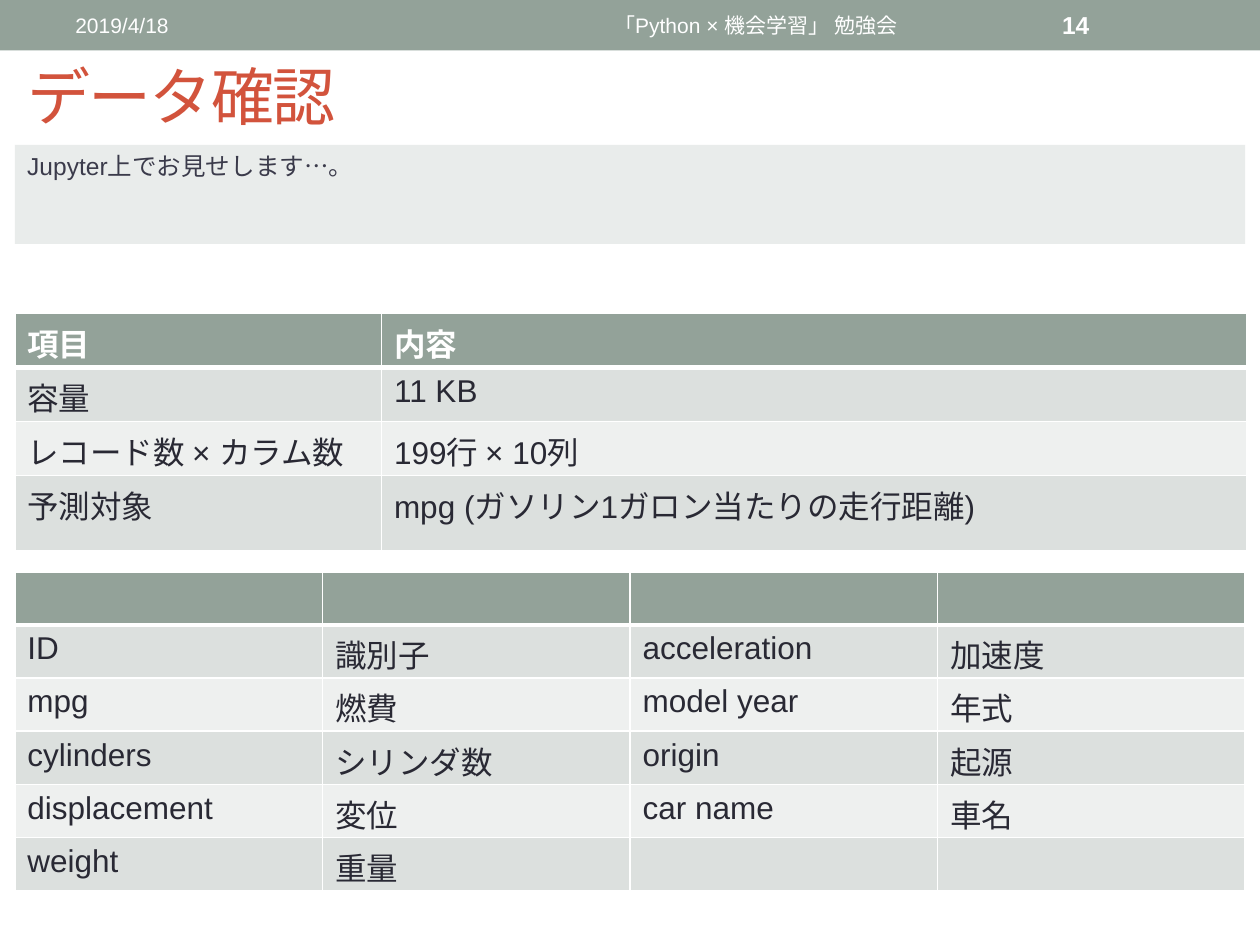
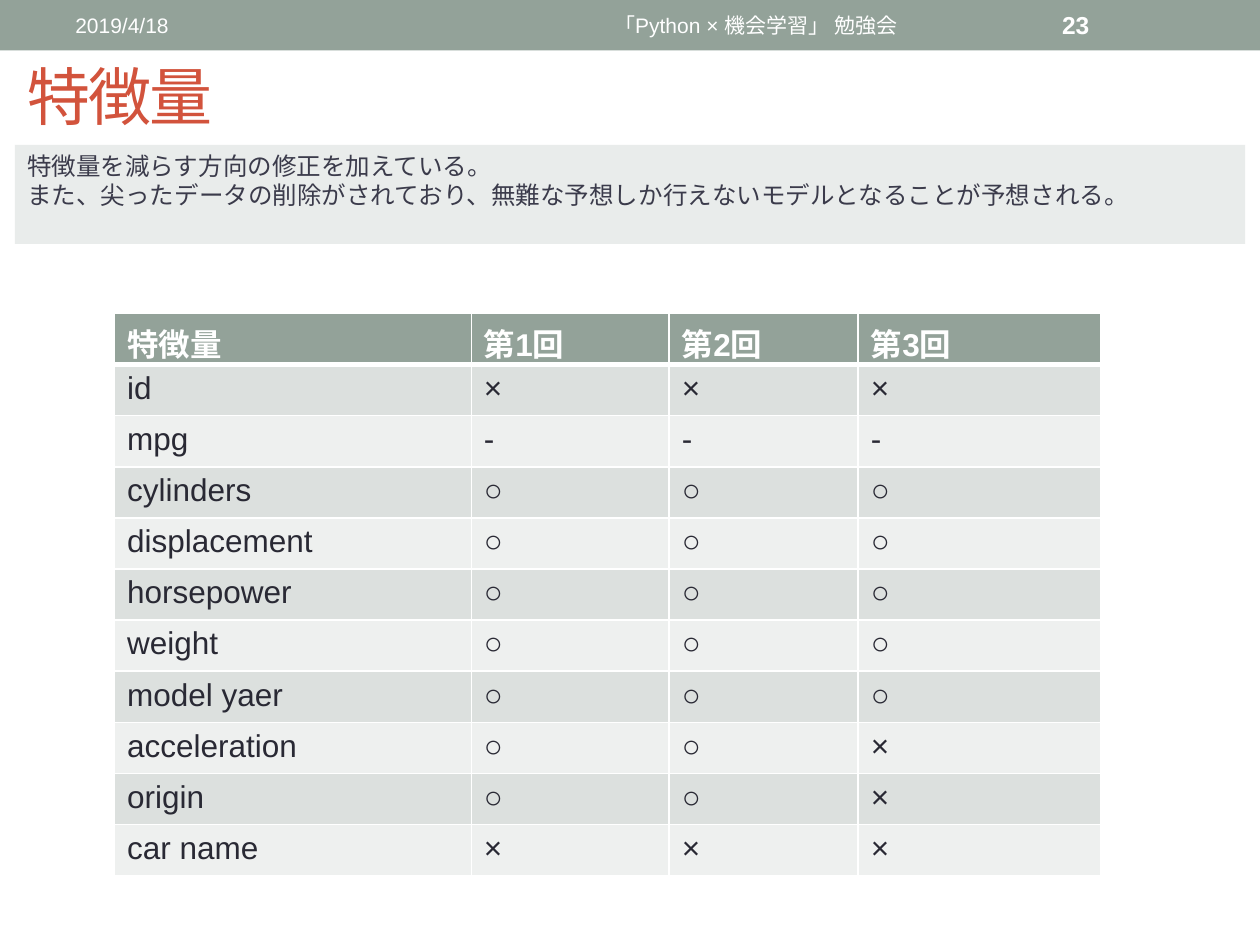
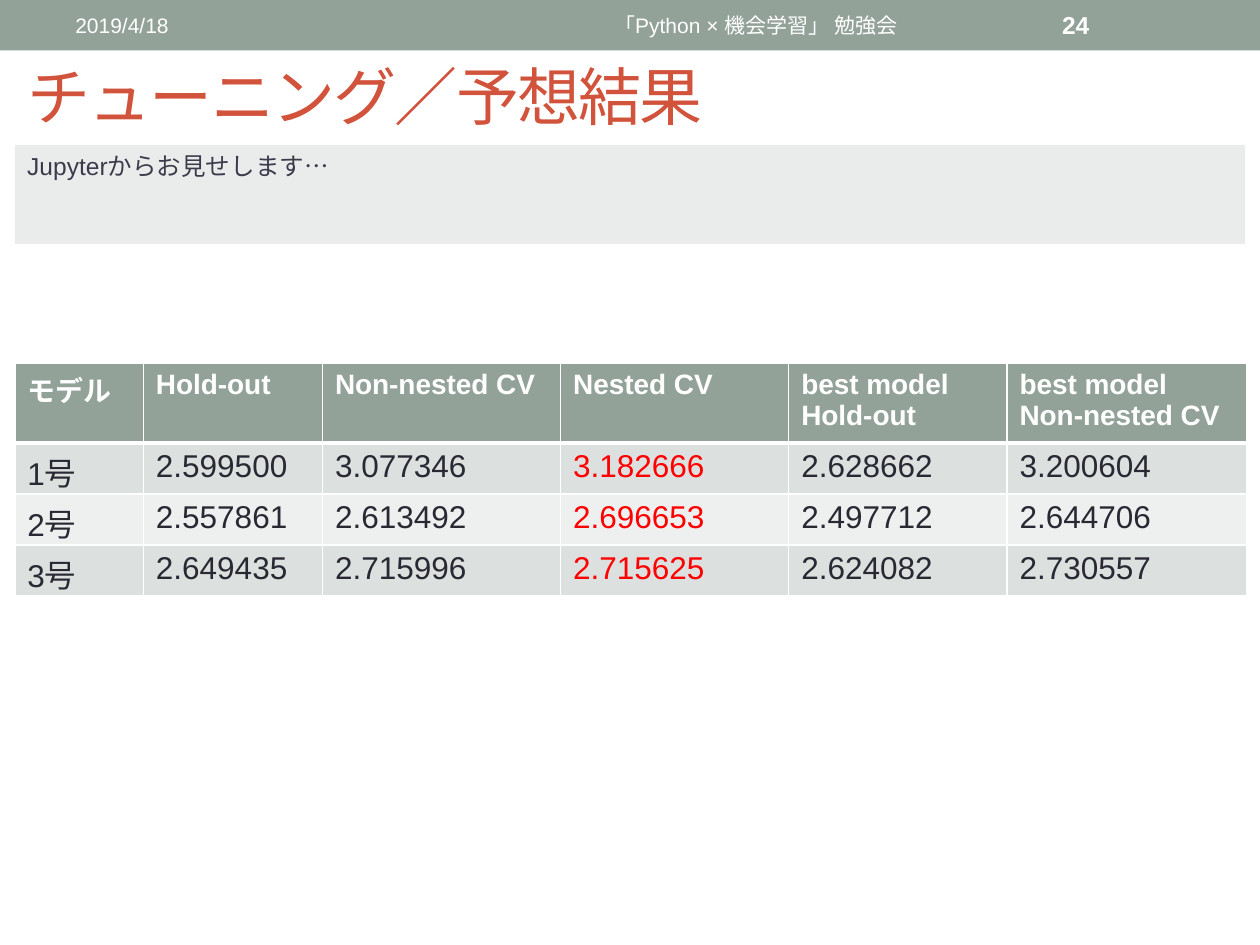
from dataclasses import dataclass

from lxml.etree import SubElement
from pptx import Presentation
from pptx.dml.color import RGBColor
from pptx.enum.lang import MSO_LANGUAGE_ID as Language
from pptx.enum.shapes import MSO_SHAPE as Preset
from pptx.enum.text import MSO_ANCHOR as Anchor, MSO_AUTO_SIZE as AutoSize, PP_ALIGN as Align
from pptx.oxml.ns import qn
from pptx.util import Cm, Pt

FONT = "Arial"
COLORS = {
    "band": "93A299",
    "title": "D2533C",
    "summary_fill": "E9ECEB",
    "summary_text": "3B3B4B",
    "white": "FFFFFF",
    "cell_text": "292934",
    "odd_row": "DCE0DE",
    "even_row": "EEF0EF",
    "highlight": "FF0000",
}
MARGIN, CONTENT_WIDTH = 0.3, 24.8


@dataclass(frozen=True)
class TextStyle:
    size: float
    color: str
    bold: bool = False
    spacing: float = 0


@dataclass(frozen=True)
class BandLabel:
    left: float
    width: float
    text: str
    style: TextStyle
    align: Align = Align.LEFT


@dataclass(frozen=True)
class TableSpec:
    left: float
    top: float
    columns: list[float]
    heights: list[float]
    rows: list[list[str]]
    header_size: float = 18
    highlighted_column: int | None = None


@dataclass(frozen=True)
class SlideSpec:
    number: int
    title: str
    summary: str
    tables: list[TableSpec]


TITLE_STYLE = TextStyle(36, "title", spacing=-1)
SUMMARY_STYLE = TextStyle(14, "summary_text")
LABEL_STYLE = TextStyle(12, "white")
NUMBER_STYLE = TextStyle(14, "white", bold=True)


# Shared drawing functions
def color(name: str) -> RGBColor:
    return RGBColor.from_string(COLORS[name])


def write(frame, text: str, style: TextStyle, align: Align = Align.LEFT) -> None:
    for index, line in enumerate(text.split("\n")):
        paragraph = frame.add_paragraph() if index else frame.paragraphs[0]
        paragraph.alignment = align
        run = paragraph.add_run()
        run.text = line
        font = run.font
        font.name, font.size, font.bold = FONT, Pt(style.size), style.bold
        font.color.rgb = color(style.color)
        font.language_id = Language.JAPANESE
        if style.spacing:
            run._r.get_or_add_rPr().set("spc", str(int(style.spacing * 100)))


def add_rectangle(slide, left: float, top: float, width: float, height: float, fill: str):
    shape = slide.shapes.add_shape(Preset.RECTANGLE, Cm(left), Cm(top), Cm(width), Cm(height))
    shape.shadow.inherit = False
    shape.fill.solid()
    shape.fill.fore_color.rgb = color(fill)
    shape.line.fill.background()
    return shape


def add_band(slide, number: int) -> None:
    add_rectangle(slide, 0, 0, 25.4, 1.02, "band")
    labels = [
        BandLabel(1.27, 8.05, "2019/4/18", LABEL_STYLE),
        BandLabel(9.52, 11.43, "「Python × 機会学習」 勉強会", LABEL_STYLE, Align.CENTER),
        BandLabel(21.16, 2.97, str(number), NUMBER_STYLE),
    ]
    for label in labels:
        box = slide.shapes.add_textbox(Cm(label.left), Cm(0.05), Cm(label.width), Cm(0.91))
        frame = box.text_frame
        frame.word_wrap = True
        frame.vertical_anchor = Anchor.MIDDLE
        write(frame, label.text, label.style, label.align)


def format_title(slide, text: str) -> None:
    title = slide.shapes.title
    title.left, title.top = Cm(MARGIN), Cm(1.12)
    title.width, title.height = Cm(CONTENT_WIDTH), Cm(1.6)
    title.text_frame.auto_size = AutoSize.NONE
    title.text_frame.vertical_anchor = Anchor.MIDDLE
    write(title.text_frame, text, TITLE_STYLE)


def add_summary(slide, text: str) -> None:
    panel = add_rectangle(slide, MARGIN, 2.92, CONTENT_WIDTH, 2, "summary_fill")
    panel.text_frame.word_wrap = True
    panel.text_frame.vertical_anchor = Anchor.TOP
    write(panel.text_frame, text, SUMMARY_STYLE)


def set_borders(cell, top: float, bottom: float) -> None:
    properties = cell._tc.get_or_add_tcPr()
    for side, width in {"L": 1, "R": 1, "T": top, "B": bottom}.items():
        line = SubElement(properties, qn(f"a:ln{side}"), w=str(Pt(width)))
        fill = SubElement(line, qn("a:solidFill"))
        SubElement(fill, qn("a:srgbClr"), val=COLORS["white"])


def add_table(slide, spec: TableSpec) -> None:
    frame = slide.shapes.add_table(
        len(spec.rows), len(spec.columns), Cm(spec.left), Cm(spec.top),
        Cm(sum(spec.columns)), Cm(sum(spec.heights)))
    table = frame.table
    for column, width in zip(table.columns, spec.columns):
        column.width = Cm(width)
    for row, height in zip(table.rows, spec.heights):
        row.height = Cm(height)
    for row_index, texts in enumerate(spec.rows):
        is_header = row_index == 0
        row_fill = "band" if is_header else "odd_row" if row_index % 2 else "even_row"
        for column_index, text in enumerate(texts):
            cell = table.cell(row_index, column_index)
            set_borders(cell, top=3 if row_index == 1 else 1, bottom=3 if is_header else 1)
            cell.fill.solid()
            cell.fill.fore_color.rgb = color(row_fill)
            if is_header:
                style = TextStyle(spec.header_size, "white", bold=True)
            elif column_index == spec.highlighted_column:
                style = TextStyle(18, "highlight")
            else:
                style = TextStyle(18, "cell_text")
            if text:
                write(cell.text_frame, text, style)


# Slide content
DATA_OVERVIEW = TableSpec(
    MARGIN, 6.32, [7.39, 17.44], [1.09, 1.09, 1.09, 1.52],
    [
        ["項目", "内容"],
        ["容量", "11 KB"],
        ["レコード数 × カラム数", "199行 × 10列"],
        ["予測対象", "mpg (ガソリン1ガロン当たりの走行距離)"],
    ])

DATA_COLUMNS = TableSpec(
    MARGIN, 11.53, [CONTENT_WIDTH / 4] * 4, [1.07] * 6,
    [
        ["", "", "", ""],
        ["ID", "識別子", "acceleration", "加速度"],
        ["mpg", "燃費", "model year", "年式"],
        ["cylinders", "シリンダ数", "origin", "起源"],
        ["displacement", "変位", "car name", "車名"],
        ["weight", "重量", "", ""],
    ])

FEATURE_USE = {
    "id": "×××",
    "mpg": "---",
    "cylinders": "○○○",
    "displacement": "○○○",
    "horsepower": "○○○",
    "weight": "○○○",
    "model yaer": "○○○",
    "acceleration": "○○×",
    "origin": "○○×",
    "car name": "×××",
}
FEATURES = TableSpec(
    2.31, 6.32, [7.19, 3.99, 3.81, 4.88], [1.03] * 11,
    [["特徴量", "第1回", "第2回", "第3回"]]
    + [[feature, *marks] for feature, marks in FEATURE_USE.items()])

RESULTS = TableSpec(
    MARGIN, 7.32, [2.59, 3.61, 4.8, 4.6, 4.4, 4.83], [1.03] * 4,
    [
        ["モデル", "Hold-out", "Non-nested CV", "Nested CV",
         "best model\nHold-out", "best model\nNon-nested CV"],
        ["1号", "2.599500", "3.077346", "3.182666", "2.628662", "3.200604"],
        ["2号", "2.557861", "2.613492", "2.696653", "2.497712", "2.644706"],
        ["3号", "2.649435", "2.715996", "2.715625", "2.624082", "2.730557"],
    ],
    header_size=16, highlighted_column=3)

SLIDES = [
    SlideSpec(14, "データ確認", "Jupyter上でお見せします…。", [DATA_OVERVIEW, DATA_COLUMNS]),
    SlideSpec(
        23, "特徴量",
        "特徴量を減らす方向の修正を加えている。\n"
        "また、尖ったデータの削除がされており、無難な予想しか行えないモデルとなることが予想される。",
        [FEATURES]),
    SlideSpec(24, "チューニング／予想結果", "Jupyterからお見せします…", [RESULTS]),
]


def main() -> None:
    presentation = Presentation()
    presentation.slide_width, presentation.slide_height = Cm(25.4), Cm(19.05)
    title_only = presentation.slide_layouts[5]
    for spec in SLIDES:
        slide = presentation.slides.add_slide(title_only)
        add_band(slide, spec.number)
        format_title(slide, spec.title)
        add_summary(slide, spec.summary)
        for table in spec.tables:
            add_table(slide, table)
    presentation.save("out.pptx")


if __name__ == "__main__":
    main()
